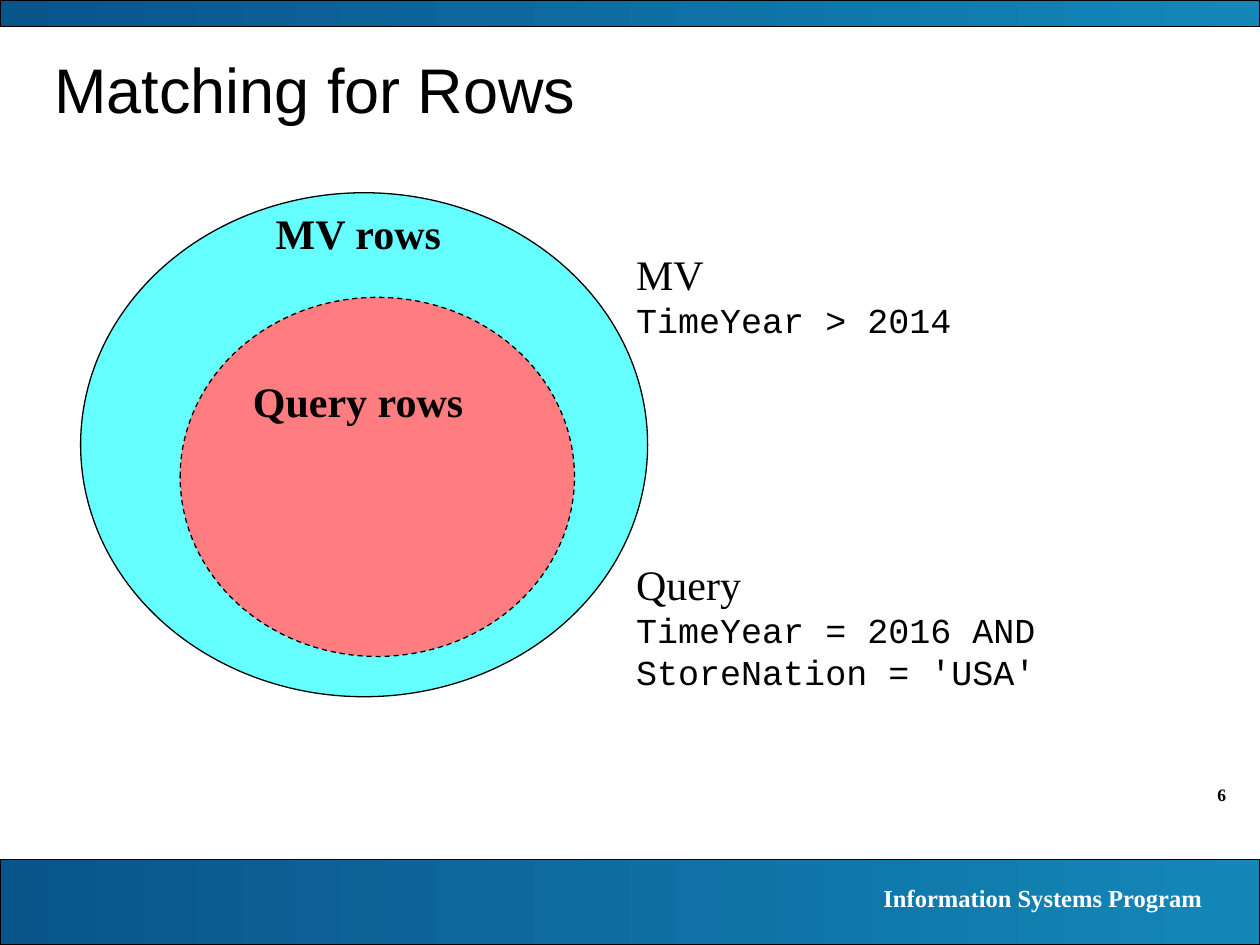
from dataclasses import dataclass

from pptx import Presentation
from pptx import util as u
from pptx.dml.color import RGBColor
from pptx.enum import dml, shapes, text


@dataclass(frozen=True)
class Theme:
    black: str = "000000"
    white: str = "FFFFFF"
    band_start: str = "0A548C"
    band_end: str = "1387B8"
    mv: str = "66FFFF"
    query: str = "FF7C80"
    heading_font: str = "Arial"
    body_font: str = "Times New Roman"
    code_font: str = "Courier New"
    title: float = 36
    label: float = 24
    code: float = 20
    footer: float = 14
    number: float = 10
    line: float = 0.75


T = Theme()
LEFT, RIGHT = text.PP_ALIGN.LEFT, text.PP_ALIGN.RIGHT


def rgb(value):
    return RGBColor.from_string(value)


def inches(box):
    return [u.Inches(v) for v in box]


def add_run(p, words, size, font=T.body_font, color=T.black, bold=False):
    r = p.add_run()
    r.text = words
    r.font.size = u.Pt(size)
    r.font.name = font
    r.font.bold = bold
    r.font.color.rgb = rgb(color)


def add_label(s, box, words, size=T.label, color=T.black, bold=True, align=LEFT):
    tf = s.shapes.add_textbox(*inches(box)).text_frame
    tf.word_wrap = True
    p = tf.paragraphs[0]
    p.alignment = align
    add_run(p, words, size, color=color, bold=bold)
    return tf


def add_outlined(s, kind, box):
    sp = s.shapes.add_shape(kind, *inches(box))
    sp.shadow.inherit = False
    sp.line.color.rgb = rgb(T.black)
    sp.line.width = u.Pt(T.line)
    return sp


def add_band(s, box):
    sp = add_outlined(s, shapes.MSO_SHAPE.RECTANGLE, box)
    sp.fill.gradient()
    sp.fill.gradient_angle = 0
    stops = zip(sp.fill.gradient_stops, (T.band_start, T.band_end))
    for position, (stop, color) in enumerate(stops):
        stop.position = position
        stop.color.rgb = rgb(color)


def add_footer(s, box):
    x, y, w, h = box
    add_band(s, box)
    add_label(s, (x + 5.55, y + 0.14, 4.09, 0.34), "Information Systems Program",
              T.footer, T.white, align=RIGHT)
    add_label(s, (x + w - 1, y - 0.65, 0.83, 0.27), "6", T.number, align=RIGHT)


def add_title(s, box, words):
    sp = s.shapes.title
    sp.left, sp.top, sp.width, sp.height = inches(box)
    tf = sp.text_frame
    tf.vertical_anchor = text.MSO_ANCHOR.MIDDLE
    p = tf.paragraphs[0]
    p.alignment = LEFT
    add_run(p, words, T.title, T.heading_font)


def add_row_set(s, box, color, words, label_box, dash=None):
    x, y = box[:2]
    dx, dy, w, h = label_box
    sp = add_outlined(s, shapes.MSO_SHAPE.OVAL, box)
    sp.fill.solid()
    sp.fill.fore_color.rgb = rgb(color)
    if dash:
        sp.line.dash_style = dash
    add_label(s, (x + dx, y + dy, w, h), words)


def add_venn(s, box):
    x, y = box[:2]
    add_row_set(s, box, T.mv, "MV rows", (1.45, 0.07, 1.6, 0.5))
    add_row_set(s, (x + 0.79, y + 0.83, 3.13, 2.85), T.query, "Query rows",
                (0.48, 0.57, 1.96, 0.5), dml.MSO_LINE.DASH)


def add_condition(s, box, heading, lines):
    tf = add_label(s, box, heading, bold=False)
    for line in lines:
        add_run(tf.add_paragraph(), line, T.code, T.code_font)


def main():
    prs = Presentation()
    prs.slide_width, prs.slide_height = u.Inches(10), u.Inches(7.5)
    s = prs.slides.add_slide(prs.slide_layouts[5])
    add_band(s, (0, 0, 10, 0.21))
    add_footer(s, (0, 6.82, 10, 0.68))
    add_title(s, (0.33, 0.33, 9.17, 0.75), "Matching for Rows")
    add_venn(s, (0.64, 1.53, 4.5, 4))
    add_condition(s, (4.95, 1.92, 2.92, 0.84), "MV", ["TimeYear > 2014"])
    add_condition(s, (4.95, 4.38, 4.45, 1.18), "Query",
                  ["TimeYear = 2016 AND", "StoreNation = 'USA'"])
    prs.save("out.pptx")


if __name__ == "__main__":
    main()
